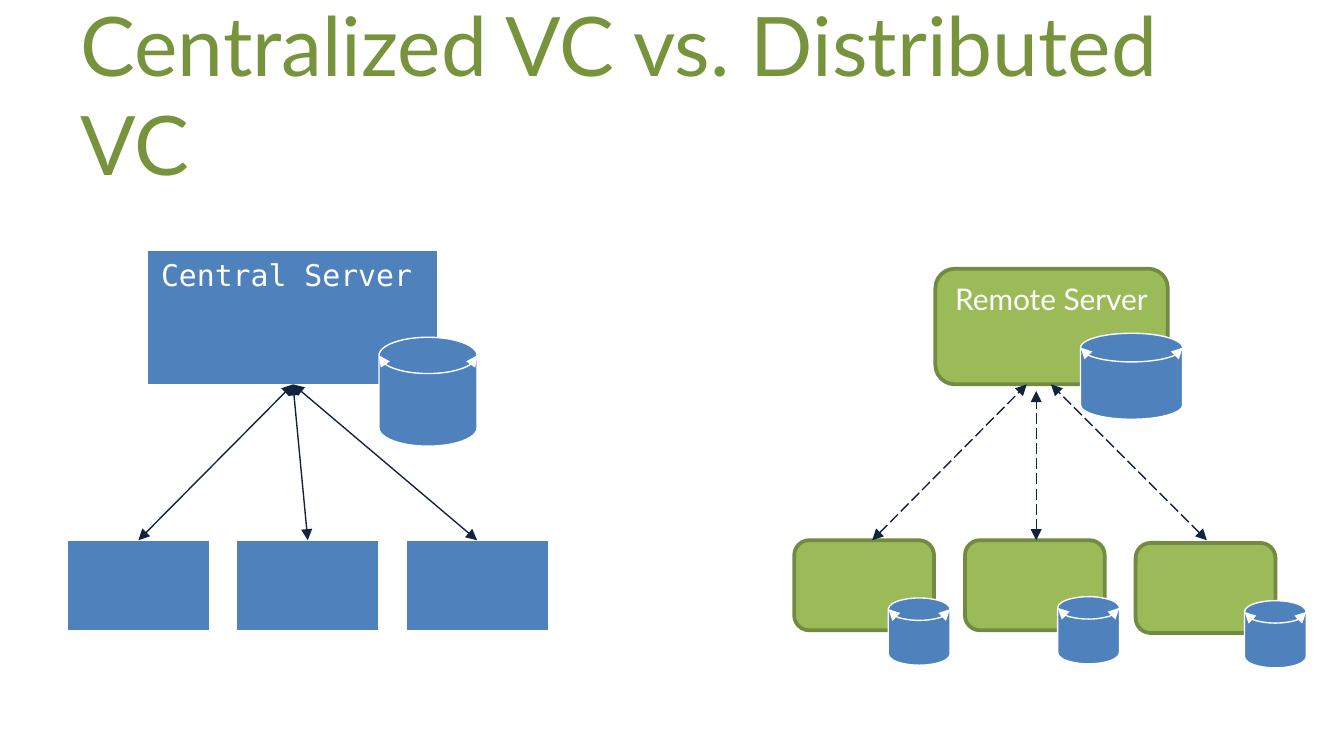
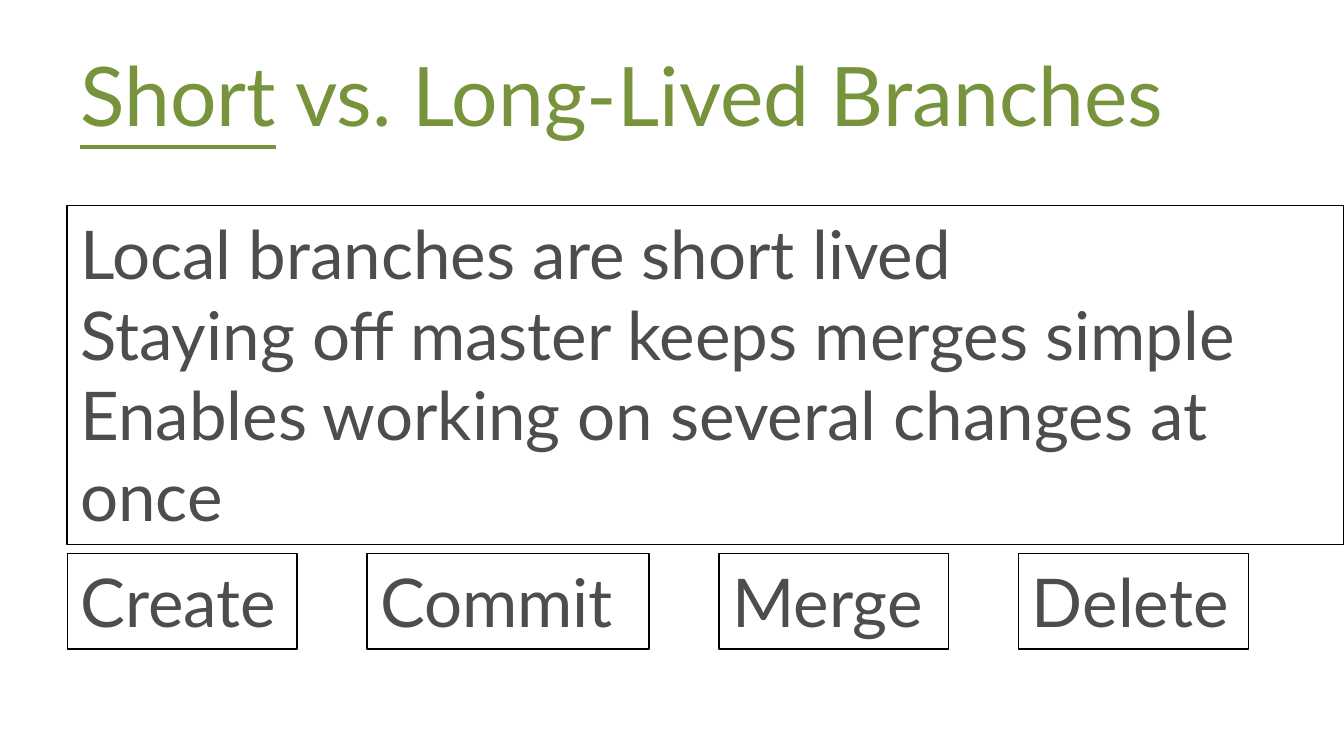
from pptx import Presentation
from pptx.dml.color import RGBColor as Rgb
from pptx.enum.dml import MSO_LINE as Dash
from pptx.enum.shapes import MSO_CONNECTOR as Conn, MSO_SHAPE as Geo
from pptx.enum.text import MSO_ANCHOR as Anchor, PP_ALIGN as Align
from pptx.oxml.ns import qn
from pptx.util import Inches, Pt
from lxml.etree import SubElement

HUES = {
    "title": "77933C", "body": "4D4D4D", "white": "FFFFFF", "black": "000000",
    "blue": "4F81BD", "green": "9BBB59", "edge": "728A41", "arrow": "10243E",
}
SANS, MONO = "Lato", "DejaVu Sans Mono"


def hue(name):
    return Rgb.from_string(HUES[name])


def style(par, size, color, font=SANS):
    for run in par.runs:
        run.font.size = Pt(size)
        run.font.name = font
        run.font.color.rgb = hue(color)


def ends(item):
    """Put a triangle at both ends of the outline."""
    line = item._element.spPr.find(qn("a:ln"))
    for tag in ("a:headEnd", "a:tailEnd"):
        SubElement(line, qn(tag), type="triangle")


def shape(slide, geo, box, fill, edge, width):
    item = slide.shapes.add_shape(geo, *map(Inches, box))
    item.shadow.inherit = False
    if fill:
        item.fill.solid()
        item.fill.fore_color.rgb = hue(fill)
    else:
        item.fill.background()
    item.line.color.rgb = hue(edge)
    item.line.width = Pt(width)
    return item


def write(item, lines, size, color, font=SANS, align=Align.LEFT):
    frame = item.text_frame
    frame.word_wrap = True
    frame.vertical_anchor = Anchor.TOP
    frame.text = "\n".join(lines)
    for par in frame.paragraphs:
        par.alignment = align
        style(par, size, color, font)


def title(slide, *parts):
    box = slide.shapes.add_textbox(*map(Inches, (0.5, 0.23, 9, 0.93)))
    frame = box.text_frame
    frame.word_wrap = True
    frame.vertical_anchor = Anchor.MIDDLE
    par = frame.paragraphs[0]
    for text, under in parts:
        run = par.add_run()
        run.text = text
        run.font.underline = under
    style(par, 44, "title")


def node(slide, box):
    return shape(slide, Geo.RECTANGLE, box, "blue", "white", 0.75)


def peer(slide, box):
    return shape(slide, Geo.ROUNDED_RECTANGLE, box, "green", "edge", 2)


def disk(slide, box):
    ends(shape(slide, Geo.FLOWCHART_MAGNETIC_DISK, box, "blue", "white", 0.75))


def arrow(slide, start, end, dash=None):
    item = slide.shapes.add_connector(Conn.STRAIGHT, *map(Inches, start + end))
    item.line.color.rgb = hue("arrow")
    item.line.width = Pt(0.75)
    if dash:
        item.line.dash_style = dash
    ends(item)
    SubElement(item._element.spPr, qn("a:effectLst"))


def central(slide, x, y):
    """One server with a store; clients without one."""
    write(node(slide, (x + 0.6, y, 2.16, 1)), ["Central Server"], 16, "white", MONO)
    disk(slide, (x + 2.32, y + 0.65, 0.73, 0.81))
    wide, step, top = 1.06, 1.26, y + 2.16
    for i in range(3):
        left = x + i * step
        node(slide, (left, top, wide, 0.67))
        arrow(slide, (left + wide / 2, top), (x + 1.68, y + 1))


def remote(slide, x, y):
    """A server and peers, each with its own store."""
    wide, step = 1.04, 1.27
    drops = (2.02, 2.02, 2.04)
    stores = ((0.7, 2.45), (1.96, 2.44), (3.35, 2.47))
    for i, drop in enumerate(drops):
        peer(slide, (x + i * step, y + drop, wide, 0.67))
    for dx, dy in stores:
        disk(slide, (x + dx, y + dy, 0.46, 0.5))
    server = peer(slide, (x + 1.05, y, 1.73, 0.86))
    write(server, ["Remote Server"], 16, "white", align=Align.CENTER)
    disk(slide, (x + 2.13, y + 0.48, 0.76, 0.64))
    for low, high, dy in ((0.58, 1.73, 0.86), (1.8, 1.8, 0.91), (3.07, 1.91, 0.86)):
        arrow(slide, (x + low, y + 2.02), (x + high, y + dy), Dash.LONG_DASH)


def panel(slide, box, lines):
    item = shape(slide, Geo.RECTANGLE, box, None, "black", 0)
    write(item, lines, 36, "body")


def steps(slide, x, y, gap=0.52):
    """Boxes in a row, one for each step of a branch's life."""
    for name, wide in (("Create", 1.71), ("Commit", 2.1),
                       ("Merge", 1.71), ("Delete", 1.71)):
        panel(slide, (x, y, wide, 0.71), [name])
        x += wide + gap


def models(slide):
    title(slide, ("Centralized VC vs. Distributed VC", False))
    central(slide, 0.5, 1.86)
    remote(slide, 5.91, 2)


def branches(slide):
    title(slide, ("Short", True), (" vs. Long-Lived Branches", False))
    panel(slide, (0.5, 1.53, 9.5, 2.52), [
        "Local branches are short lived",
        "Staying off master keeps merges simple",
        "Enables working on several changes at once",
    ])
    steps(slide, 0.5, 4.12)


def main():
    deck = Presentation()
    deck.slide_width = Inches(10)
    deck.slide_height = deck.slide_width * 9 // 16
    for build in (models, branches):
        build(deck.slides.add_slide(deck.slide_layouts[6]))
    deck.save("out.pptx")


if __name__ == "__main__":
    main()
